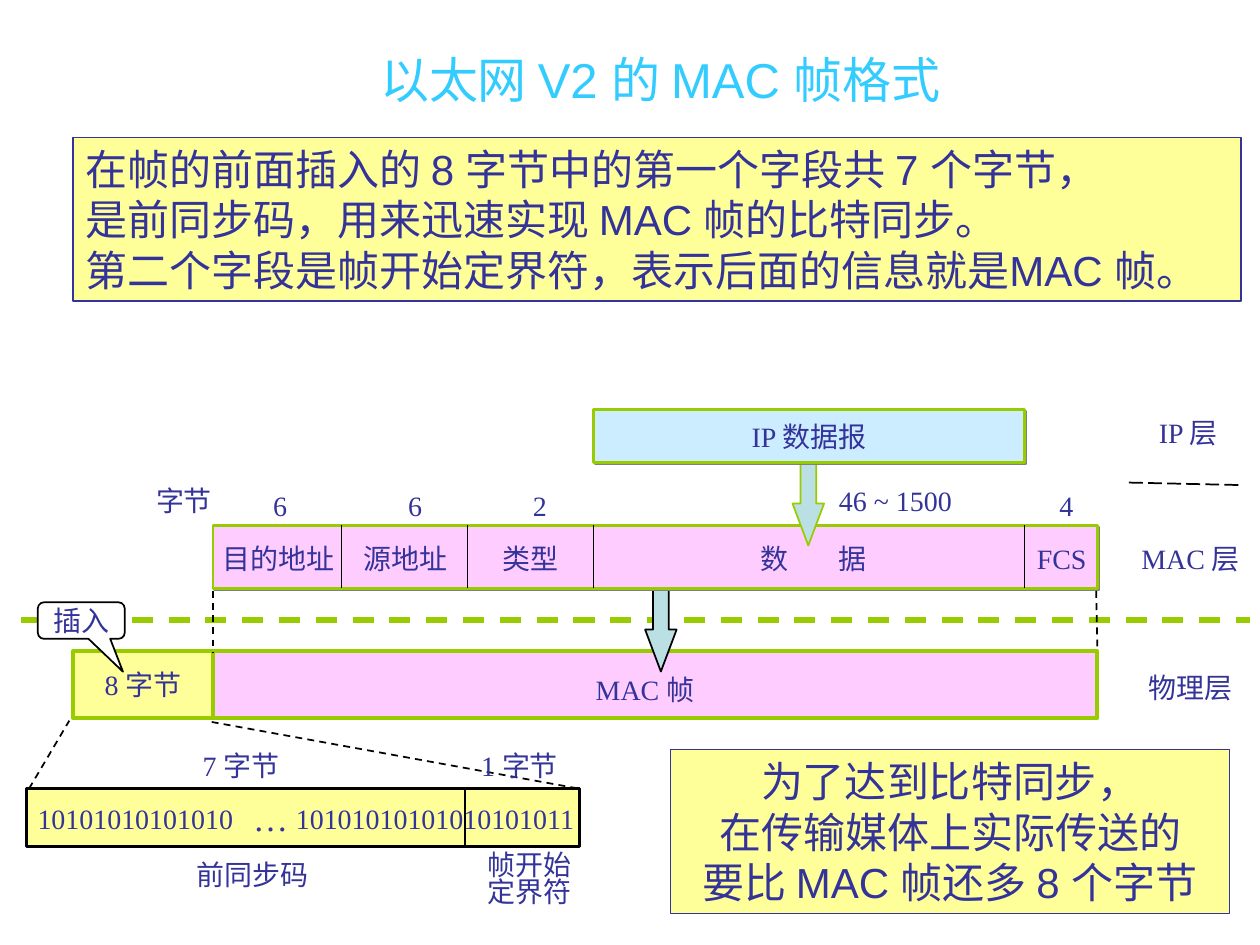
from dataclasses import dataclass

from lxml.etree import SubElement
from pptx import Presentation
from pptx.dml.color import RGBColor as RGB
from pptx.enum.dml import MSO_LINE as Dash
from pptx.enum.shapes import MSO_CONNECTOR as Link, MSO_SHAPE as Kind
from pptx.enum.text import MSO_ANCHOR as Anchor, MSO_AUTO_SIZE as Fit, PP_ALIGN as Align
from pptx.oxml.ns import qn
from pptx.util import Pt

PX = 9144  # 100 px to the inch


@dataclass
class Theme:
    ink: str = "333399"
    title: str = "33CCFF"
    green: str = "99CC00"
    black: str = "000000"
    white: str = "FFFFFF"
    pink: str = "FFCCFF"
    blue: str = "CCECFF"
    yellow: str = "FFFF99"
    teal: str = "BBE0E3"
    shade: str = "808080"
    serif: str = "Times New Roman"
    sans: str = "Arial"
    round: str = "Cabin"
    head: int = 28
    note: int = 24
    dots: int = 20
    small: int = 16


theme = Theme()
deck = Presentation()
deck.slide_width, deck.slide_height = 1000 * PX, 750 * PX
slide = deck.slides.add_slide(deck.slide_layouts[5])
shapes = slide.shapes


def write(shape, lines, size=theme.small, font=theme.serif, tint=theme.ink,
          align=Align.LEFT, wrap=False, fit=Fit.NONE):
    """Put one paragraph per line into the shape."""
    frame = shape.text_frame
    frame.word_wrap, frame.auto_size = wrap, fit
    for i, line in enumerate(lines):
        para = frame.add_paragraph() if i else frame.paragraphs[0]
        para.alignment = align
        run = para.add_run()
        run.text = line
        run.font.size, run.font.name = Pt(size), font
        run.font.color.rgb = RGB.from_string(tint)
    return frame


def draw(kind, at, fill, edge, width, *adjust):
    """Add a filled preset shape without shadow."""
    shape = shapes.add_shape(kind, *(n * PX for n in at))
    shape.shadow.inherit = False
    shape.fill.solid()
    shape.fill.fore_color.rgb = RGB.from_string(fill)
    shape.line.color.rgb = RGB.from_string(edge)
    shape.line.width = Pt(width)
    for i, value in enumerate(adjust):
        shape.adjustments[i] = value
    return shape


# Title
title = shapes.title
title.left, title.top, title.width, title.height = (n * PX for n in (98, 21, 852, 84))
write(title, ["以太网 V2 的 MAC 帧格式"], theme.head, theme.sans, theme.title,
      Align.CENTER, True).vertical_anchor = Anchor.MIDDLE

# Lines: the layer border goes under the boxes, the rest on top
edges = [271, 371, 471, 813]
border = [(17, 492, 992, 492, theme.green, 3, Dash.DASH)]
thin = [(x, 417, x, 467, theme.black, 1, None) for x in edges]
thin += [(369, 626, 369, 673, theme.black, 1, None),
         (896, 383, 986, 385, theme.black, 1, Dash.LONG_DASH)]
thin += [(*ends, theme.black, 1, Dash.DASH) for ends in (
    (169, 469, 169, 518), (870, 469, 871, 517), (23, 626, 55, 572), (168, 573, 460, 626))]

for group in (border, thin):
    for x1, y1, x2, y2, tint, width, dash in group:
        line = shapes.add_connector(Link.STRAIGHT, x1 * PX, y1 * PX, x2 * PX, y2 * PX)
        line.line.color.rgb = RGB.from_string(tint)
        line.line.width = Pt(width)
        if dash:
            line.line.dash_style = dash
        SubElement(line._element.spPr, qn("a:effectLst"))
    if group is border:
        # Boxes, arrows and callout
        draw(Kind.RECTANGLE, (169, 517, 702, 53), theme.pink, theme.green, 2.25)
        draw(Kind.DOWN_ARROW, (512, 466, 25, 67), theme.teal, theme.black, 1, 0.5, 1.33)
        header = draw(Kind.RECTANGLE, (169, 417, 702, 50), theme.pink, theme.green, 1.5)
        draw(Kind.DOWN_ARROW, (629, 366, 25, 67), theme.teal, theme.green, 1, 0.5, 1.33)
        packet = draw(Kind.RECTANGLE, (471, 325, 342, 42), theme.blue, theme.green, 1.5)
        draw(Kind.RECTANGLE, (21, 626, 439, 46), theme.yellow, theme.black, 1.5)
        prefix = draw(Kind.RECTANGLE, (58, 517, 111, 53), theme.yellow, theme.green, 2.25)
        insert = draw(Kind.ROUNDED_RECTANGULAR_CALLOUT, (30, 478, 69, 29),
                      theme.white, theme.black, 1, 0.48, 1.4, 0.17)

for box in (header, packet):
    cast = SubElement(box._element.spPr.find(qn("a:effectLst")), qn("a:outerShdw"),
                      dist="17961", dir="2700000", algn="ctr", rotWithShape="0")
    SubElement(cast, qn("a:srgbClr"), val=theme.shade)

for box, text in ((packet, "IP 数据报"), (prefix, "8 字节"), (insert, "插入")):
    write(box, [text], align=Align.CENTER)

# Labels by row: top, then left, width and text of each
rows = {
    325: [(910, 73, "IP 层")],
    379: [(114, 64, "字节"), (656, 109, "46 ~ 1500")],
    383: [(207, 31, "6"), (314, 31, "6"), (413, 31, "2"), (831, 31, "4")],
    425: [(167, 109, "目的地址"), (279, 86, "源地址"), (389, 64, "类型"),
          (594, 104, "数\t据"), (813, 59, "FCS"), (896, 103, "MAC 层")],
    527: [(902, 86, "物理层")],
    529: [(463, 103, "MAC 帧")],
    589: [(151, 86, "7 字节"), (372, 86, "1 字节")],
    627: [(191, 48, "…")],
    631: [(20, 447, "10101010101010\t10101010101010101011")],
    673: [(377, 86, "帧开始\n定界符")],
    676: [(146, 109, "前同步码")],
}
stops = {425: 62, 631: 205}
for top, row in rows.items():
    for left, width, text in row:
        lines = text.split("\n")
        high = {"…": 44}.get(text, 20 + 16 * len(lines))
        label = shapes.add_textbox(left * PX, top * PX, width * PX, high * PX)
        # Wrapping on, with the right inset given to the text as spare room
        frame = write(label, lines, theme.dots if text == "…" else theme.small, wrap=True)
        frame.margin_right = 0
        if len(lines) > 1:
            for para in frame.paragraphs:
                para.line_spacing = 0.8
        if "\t" in text:
            tabs = SubElement(frame.paragraphs[0]._p.get_or_add_pPr(), qn("a:tabLst"))
            SubElement(tabs, qn("a:tab"), pos=str(stops[top] * PX), algn="l")

# Notes
intro = ["在帧的前面插入的 8 字节中的第一个字段共 7 个字节，",
         "是前同步码，用来迅速实现 MAC 帧的比特同步。",
         "第二个字段是帧开始定界符，表示后面的信息就是MAC 帧。"]
reason = ["为了达到比特同步，", "在传输媒体上实际传送的", "要比 MAC 帧还多 8 个字节"]
for at, lines, align, left, right in (
        (((58, 109, 927, 130), intro, Align.LEFT, 10, 0),
         ((532, 595, 444, 130), reason, Align.CENTER, 4, 4))):
    note = draw(Kind.RECTANGLE, at, theme.yellow, theme.ink, 0.75)
    frame = write(note, lines, theme.note, theme.sans, align=align, wrap=True)
    frame.vertical_anchor = Anchor.TOP
    frame.margin_left, frame.margin_right = left * PX, right * PX
frame.paragraphs[0].runs[0].font.name = theme.round

deck.save("out.pptx")
